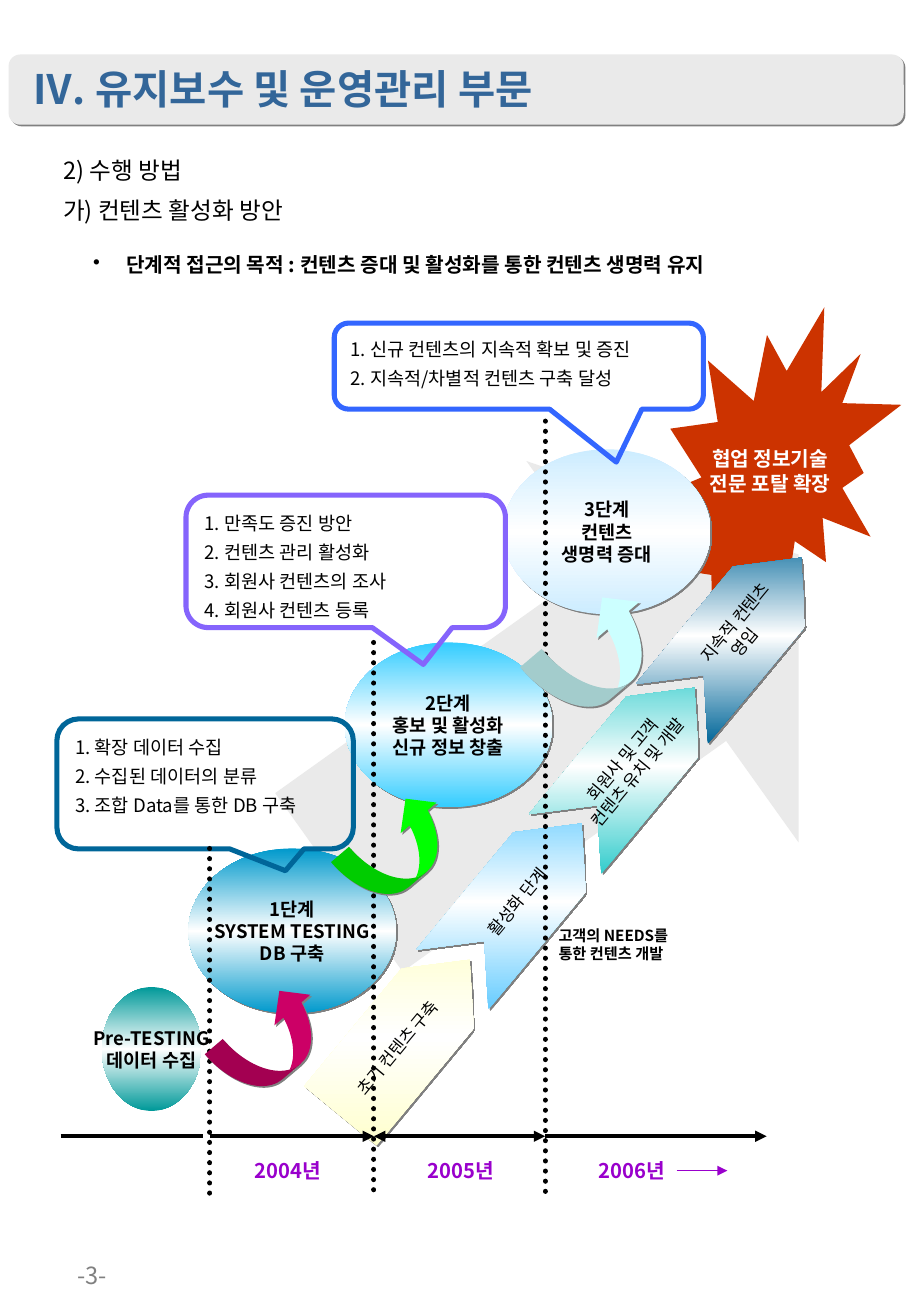
from lxml import etree
from pptx import Presentation
from pptx import util as u
from pptx.dml.color import RGBColor
from pptx.enum import dml, shapes, text
from pptx.oxml import parse_xml
from pptx.oxml.ns import nsdecls, qn

FONT = "Noto Sans CJK KR"
BLACK = RGBColor(0x00, 0x00, 0x00)
WHITE = RGBColor(0xFF, 0xFF, 0xFF)
GRAY = RGBColor(0x80, 0x80, 0x80)
PALE = RGBColor(0xEA, 0xEA, 0xEA)
STEEL = RGBColor(0x33, 0x66, 0x99)
PURPLE = RGBColor(0x99, 0x00, 0xCC)
RED = RGBColor(0xCC, 0x33, 0x00)
PINK = RGBColor(0xCC, 0x00, 0x66)
GREEN = RGBColor(0x00, 0xFF, 0x00)
ICE = RGBColor(0xCC, 0xFF, 0xFF)
OCEAN = RGBColor(0x00, 0x99, 0xCC)
CYAN = RGBColor(0x33, 0xCC, 0xFF)
MIST = RGBColor(0xCC, 0xEC, 0xFF)
CREAM = RGBColor(0xFF, 0xFF, 0xCC)
SKY = RGBColor(0x66, 0xCC, 0xFF)
AQUA = RGBColor(0x33, 0xCC, 0xCC)
NAVY = RGBColor(0x00, 0x66, 0x99)
TEAL = RGBColor(0x00, 0x99, 0x99)
VIOLET = RGBColor(0x85, 0x64, 0xFC)
BLUE = RGBColor(0x33, 0x66, 0xFF)

MSO = shapes.MSO_SHAPE
LEFT, CENTER, RIGHT = text.PP_ALIGN.LEFT, text.PP_ALIGN.CENTER, text.PP_ALIGN.RIGHT


class Board:
    """Holds the slide and its style."""

    def __init__(self, slide):
        self.slide = slide

    def set_text(self, sp, content, size, color=BLACK, bold=False, align=LEFT,
                 wrap=True, anchor=text.MSO_ANCHOR.TOP, spacing=None, before=0):
        tf = sp.text_frame
        tf.word_wrap = wrap
        tf.vertical_anchor = anchor
        for i, line in enumerate(content.split("\n")):
            p = tf.add_paragraph() if i else tf.paragraphs[0]
            p.text = line
            p.alignment = align
            if spacing:
                p.line_spacing = spacing
            if i and before:
                p.space_before = u.Pt(before)
            p.font.size, p.font.bold, p.font.name = u.Pt(size), bold, FONT
            p.font.color.rgb = color
            latin = next(p._p.pPr.iter(qn("a:latin")))
            east = etree.Element(qn("a:ea"), typeface=FONT)
            latin.addnext(east)
        return tf

    def label(self, x, y, w, h, content, size, **style):
        sp = self.slide.shapes.add_textbox(u.Cm(x), u.Cm(y), u.Cm(w), u.Cm(h))
        return self.set_text(sp, content, size, **style)

    def shape(self, kind, x, y, w, h, fill=None, adj=(), angle=0, gradient=False, shadow=False):
        sp = self.slide.shapes.add_shape(kind, u.Cm(x), u.Cm(y), u.Cm(w), u.Cm(h))
        sp.rotation = angle
        for i, value in enumerate(adj):
            sp.adjustments[i] = value
        sp.shadow.inherit = False
        sp.line.fill.background()
        if gradient:
            stops = "".join(f'<a:gs pos="{pos}"><a:srgbClr val="{c}"/></a:gs>'
                            for pos, c in ((0, fill), (50000, WHITE), (100000, fill)))
            sp._element.spPr.find(qn("a:prstGeom")).addnext(parse_xml(
                f'<a:gradFill {nsdecls("a")} rotWithShape="0"><a:gsLst>{stops}</a:gsLst>'
                '<a:lin ang="5400000" scaled="1"/></a:gradFill>'))
        elif fill is None:
            sp.fill.background()
        else:
            sp.fill.solid()
            sp.fill.fore_color.rgb = fill
        if shadow:
            sp._element.spPr.find(qn("a:effectLst")).append(parse_xml(
                f'<a:outerShdw {nsdecls("a")} dist="17961" dir="2700000" algn="ctr" '
                f'rotWithShape="0"><a:srgbClr val="{GRAY}"/></a:outerShdw>'))
        return sp

    def caption(self, sp, content, size, **style):
        return self.set_text(sp, content, size, align=CENTER, wrap=False,
                             anchor=text.MSO_ANCHOR.MIDDLE, **style)

    def callout(self, x, y, w, h, tip, color, content):
        sp = self.shape(MSO.ROUNDED_RECTANGULAR_CALLOUT, x, y, w, h, adj=(*tip, 0.167))
        sp.line.color.rgb = color
        sp.line.width = u.Pt(3)
        self.set_text(sp, content, 11, spacing=1.2, before=1.4)

    def line(self, x1, y1, x2, y2, width, color=BLACK, ends=(), dotted=False):
        cx = self.slide.shapes.add_connector(
            shapes.MSO_CONNECTOR.STRAIGHT, u.Cm(x1), u.Cm(y1), u.Cm(x2), u.Cm(y2))
        cx.line.color.rgb = color
        cx.line.width = u.Pt(width)
        ln = cx._element.spPr.find(qn("a:ln"))
        if dotted:
            cx.line.dash_style = dml.MSO_LINE.ROUND_DOT
            ln.set("cap", "rnd")
        for end in ends:
            etree.SubElement(ln, qn(f"a:{end}"), type="triangle")
        etree.SubElement(cx._element.spPr, qn("a:effectLst"))


def main():
    prs = Presentation()
    prs.slide_width, prs.slide_height = u.Cm(19.05), u.Cm(27.53)
    b = Board(prs.slides.add_slide(prs.slide_layouts[6]))

    # Page number, heading and introduction
    b.label(0.15, 26.26, 2.34, 1.52, "-3-", 14, color=GRAY, align=RIGHT)
    b.shape(MSO.ROUNDED_RECTANGLE, 0.18, 1.14, 18.72, 1.47, PALE, shadow=True)
    b.label(1.07, 2.9, 16.08, 2.41, "2) 수행 방법\v가) 컨텐츠 활성화 방안", 14, spacing=1.4)
    b.label(0.43, 1.22, 16.08, 1.37, "Ⅳ. 유지보수 및 운영관리 부문", 24, color=STEEL, bold=True)
    tf = b.label(1.7, 5.11, 15.04, 0.81,
                 "단계적 접근의 목적 : 컨텐츠 증대 및 활성화를 통한 컨텐츠 생명력 유지",
                 12, bold=True, spacing=1.1)
    pPr = tf.paragraphs[0]._p.pPr
    pPr.set("marL", str(u.Cm(0.69)))
    pPr.set("indent", str(-u.Cm(0.69)))
    bullet = etree.Element(qn("a:buChar"), char="•")
    pPr.find(qn("a:defRPr")).addprevious(bullet)

    # Background arrow, stages and goal
    b.shape(MSO.RIGHT_ARROW, 5.99, 10.13, 11.81, 9.8, PALE, (0.468, 0.357), 324.5)

    def stage(x, y, color, content, w=4.34, h=3.45, shadow=True):
        sp = b.shape(MSO.OVAL, x, y, w, h, color, gradient=True, shadow=shadow)
        b.caption(sp, content, 11, bold=True)

    stage(3.94, 17.75, OCEAN, "1단계\vSYSTEM TESTING\nDB 구축")
    stage(7.21, 13.44, CYAN, "2단계\v홍보 및 활성화\n신규 정보 창출")
    goal = b.shape(MSO.EXPLOSION2, 13.74, 6.43, 5.11, 6.63, RED)
    b.caption(goal, "협업 정보기술\n전문 포탈 확장", 12, color=WHITE, bold=True)
    stage(10.52, 9.4, MIST, "3단계\v컨텐츠\n생명력 증대")

    # Rising steps
    for kind, x, y, color, content in (
            (MSO.PENTAGON, 6.35, 20.73, CREAM, "초기 컨텐츠 구축"),
            (MSO.CHEVRON, 8.69, 17.88, SKY, "활성화 단계"),
            (MSO.CHEVRON, 11.05, 15.04, AQUA, "회원사 및 고객\n컨텐츠 유치 및 개발"),
            (MSO.CHEVRON, 13.28, 12.32, NAVY, "지속적 컨텐츠\n영입")):
        sp = b.shape(kind, x, y, 4.24, 1.96, color, (0.535,), 309.6, gradient=True, shadow=True)
        tf = b.caption(sp, content, 10)
    tf.paragraphs[0]._p.pPr.set("marL", str(u.Cm(0.4)))

    b.callout(1.19, 15.04, 6.2, 2.72, (0.271, 0.668), NAVY,
              "1. 확장 데이터 수집\n2. 수집된 데이터의 분류\n3. 조합 Data를 통한 DB 구축")

    # Timeline
    marks, axis = (4.39, 7.82, 11.4), 23.77
    for x, top in zip(marks[1:], (13.44, 8.81)):
        b.line(x, top, x, 24.97, 3, dotted=True)
    for x1, x2, ends in ((marks[0], marks[1], ("tailEnd",)),
                         (marks[1], marks[2], ("headEnd", "tailEnd")),
                         (marks[2], 16.03, ("tailEnd",)),
                         (1.27, 4.24, ())):
        b.line(x1, axis, x2, axis, 2.25, ends=ends)
    for x, w, year in ((4.52, 3, 2004), (7.98, 3.3, 2005), (11.56, 3.3, 2006)):
        b.label(x, 24.1, w, 0.76, f"{year}년", 12, color=PURPLE, bold=True, align=CENTER)
    b.line(14.15, 24.49, 15.21, 24.49, 0.75, PURPLE, ("tailEnd",))

    # Second stage notes, preparation and curved arrows
    b.callout(3.89, 10.36, 6.68, 2.77, (0.243, 0.778), VIOLET,
              "1. 만족도 증진 방안\n2. 컨텐츠 관리 활성화\n3. 회원사 컨텐츠의 조사\n4. 회원사 컨텐츠 등록")

    def swoop(x, y, w, h, color):
        b.shape(MSO.CURVED_UP_ARROW, x, y, w, h, color, (0.34, 0.68, 0.333), 319.6, shadow=True)

    swoop(11.1, 12.83, 2.84, 1.73, ICE)
    b.label(11.43, 19.25, 3, 1.02, "고객의 NEEDS를 통한 컨텐츠 개발", 9, bold=True)
    stage(2.13, 20.65, TEAL, "Pre-TESTING\n데이터 수집", 2.08, 2.59, shadow=False)
    b.line(marks[0], 17.75, marks[0], 24.97, 3, dotted=True)
    swoop(4.45, 21.06, 2.54, 1.45, PINK)
    swoop(7.09, 17.04, 2.54, 1.45, GREEN)

    # Third stage notes
    b.callout(6.99, 6.76, 7.72, 1.8, (0.264, 1.116), BLUE,
              "1. 신규 컨텐츠의 지속적 확보 및 증진\n2. 지속적/차별적 컨텐츠 구축 달성")
    prs.save("out.pptx")


if __name__ == "__main__":
    main()
